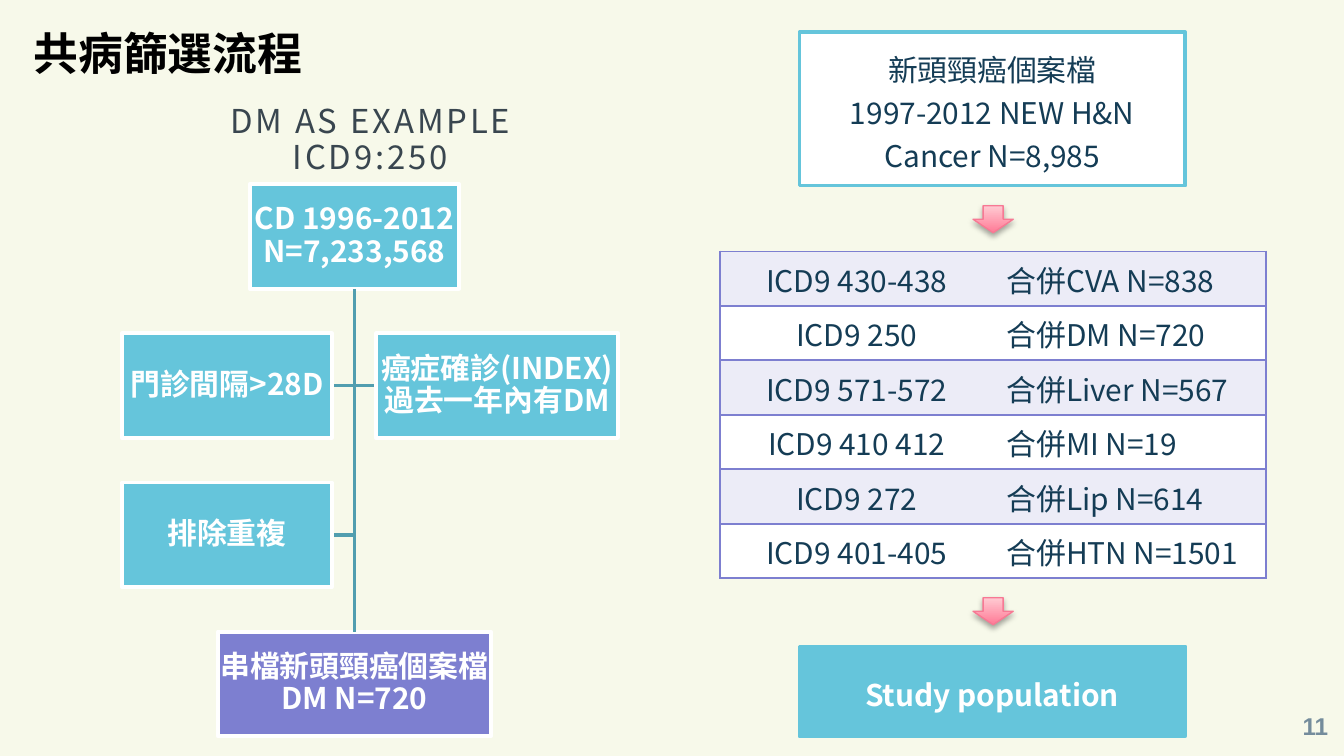
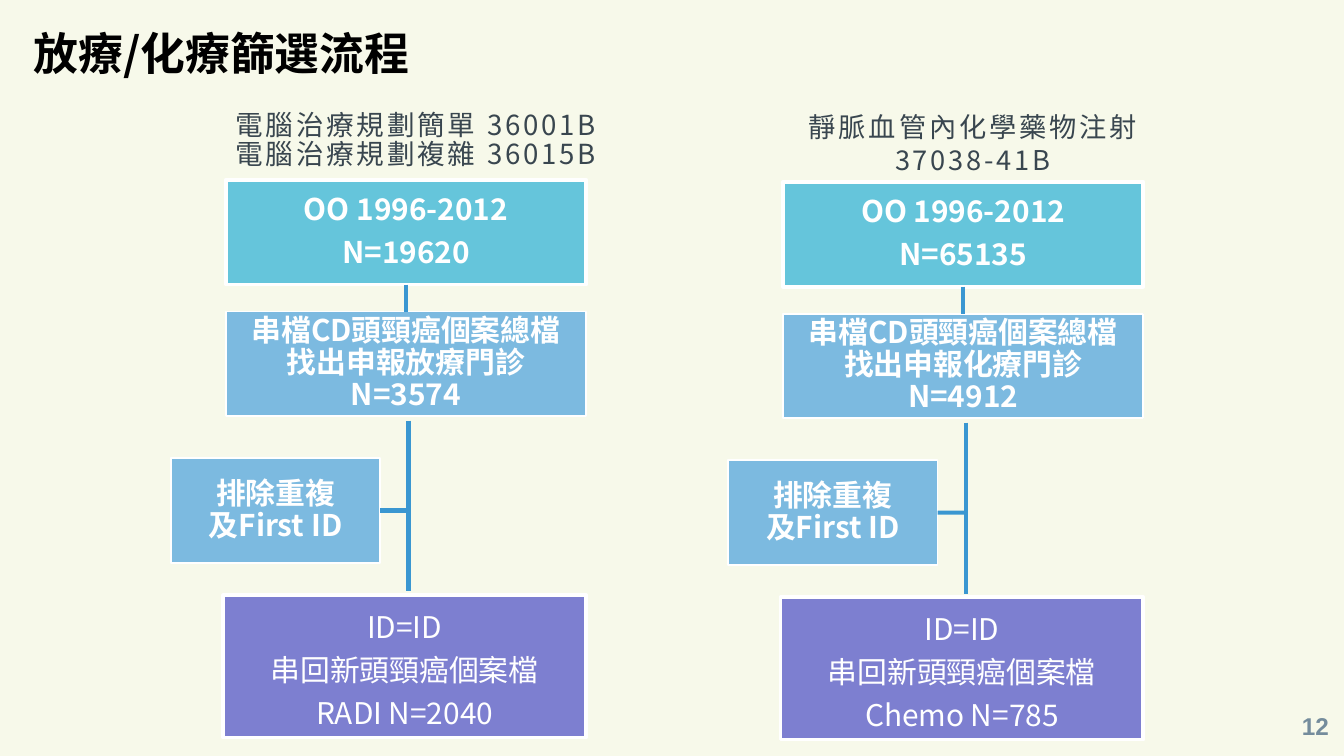
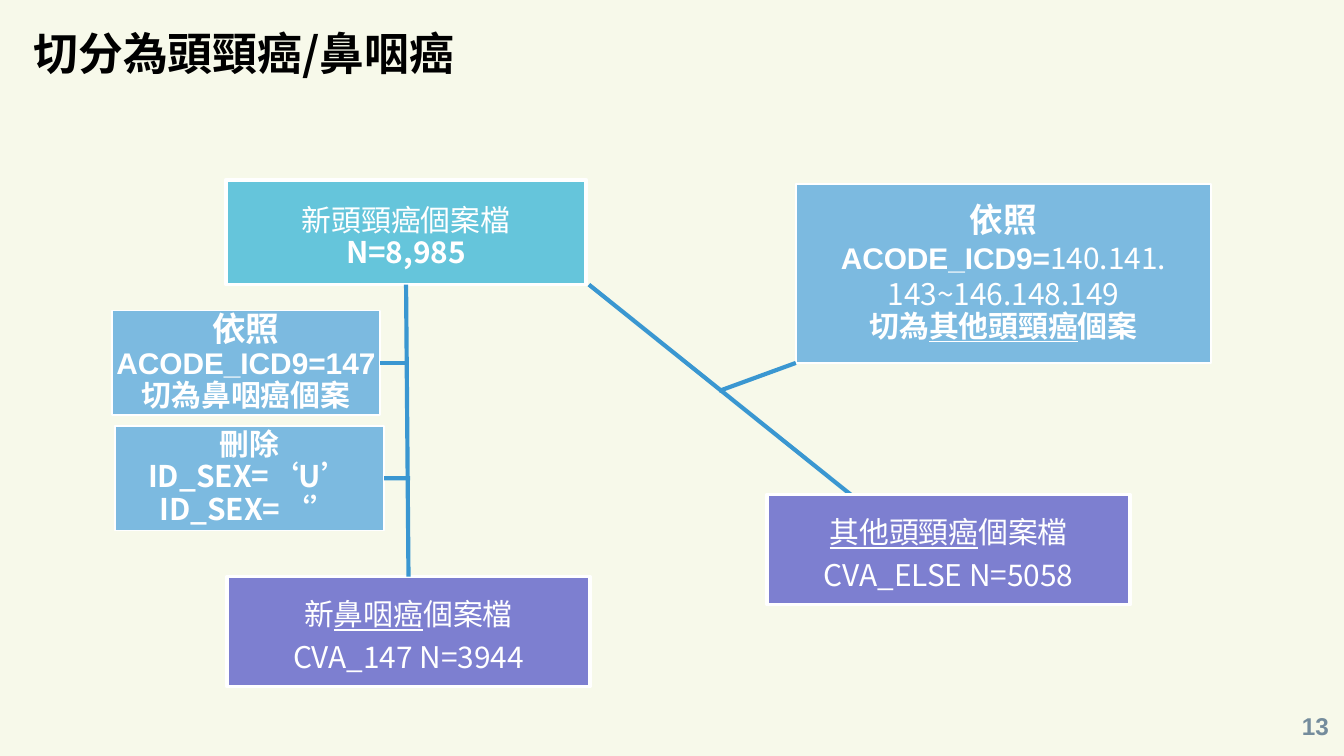
"""Build three slides on how comorbidity, treatment and cancer cases were screened."""
from dataclasses import dataclass

from lxml import etree
from pptx import Presentation
from pptx import util as u
from pptx.dml.color import RGBColor
from pptx.enum import shapes, text
from pptx.oxml import ns

CREAM = RGBColor(0xF7, 0xF9, 0xEA)
WHITE = RGBColor(0xFF, 0xFF, 0xFF)
BLACK = RGBColor(0x00, 0x00, 0x00)
TEAL = RGBColor(0x65, 0xC5, 0xDB)
DARK_TEAL = RGBColor(0x51, 0x9E, 0xAF)
VIOLET = RGBColor(0x7D, 0x7F, 0xD0)
LILAC = RGBColor(0xEC, 0xEC, 0xF7)
SKY = RGBColor(0x7C, 0xBA, 0xE0)
BLUE = RGBColor(0x3A, 0x97, 0xD1)
NAVY = RGBColor(0x14, 0x3C, 0x55)
SLATE = RGBColor(0x39, 0x46, 0x4F)
GREY = RGBColor(0x74, 0x8C, 0x9C)
PINK = RGBColor(0xFF, 0x7A, 0x96)
PALE_PINK = RGBColor(0xFF, 0xCA, 0xD2)
PINK_EDGE = RGBColor(0xF7, 0x79, 0x94)

NOTO = "Noto Sans CJK SC"
ARIAL = "Arial"
CENTER = text.PP_ALIGN.CENTER
LEFT = text.PP_ALIGN.LEFT
STEP_HEIGHT = 1.98
TOP, BOTTOM, RIGHT = 0, 2, 3


@dataclass(frozen=True)
class Span:
    """A stretch of evenly formatted text."""
    words: str
    size: float = 16
    bold: bool = True
    underline: bool = False
    face: str = NOTO


@dataclass(frozen=True)
class Line:
    """A paragraph with its line spacing and the space after it in points."""
    spans: tuple
    spacing: float = 0.9
    after: float = 0


@dataclass(frozen=True)
class Area:
    """A place on the slide in centimetres."""
    left: float
    top: float
    width: float
    height: float = STEP_HEIGHT

    def lengths(self) -> tuple:
        """Return the four lengths as python-pptx expects them."""
        return tuple(u.Cm(n) for n in (self.left, self.top, self.width, self.height))

    def shifted(self, dx: float, dy: float) -> "Area":
        """Return the same area moved by an offset."""
        return Area(self.left + dx, self.top + dy, self.width, self.height)


@dataclass(frozen=True)
class Step:
    """A box of a flow chart."""
    area: Area
    fill: RGBColor
    lines: tuple
    edge: RGBColor = WHITE
    edge_width: float = 2
    ink: RGBColor = WHITE
    inset: float = 0.03


@dataclass(frozen=True)
class Treatment:
    """The wording and offset of one treatment flow."""
    dx: float
    dy: float
    codes: tuple
    code_size: float
    code_spacing: float
    orders: str
    visits: str
    visit_count: str
    result: str


def lines(*words: str, spacing: float = 0.9, after: float = 0, **look) -> tuple:
    """Make one evenly formatted line from each string."""
    return tuple(Line((Span(w, **look),), spacing, after) for w in words)


def set_font(font, span: Span, ink: RGBColor, tracking: float) -> None:
    """Apply a span's look to a run's or a paragraph's font."""
    font.name = span.face
    font.size = u.Pt(span.size)
    font.bold = span.bold
    font.underline = span.underline
    font.color.rgb = ink
    etree.SubElement(font._rPr, ns.qn("a:ea"), typeface=NOTO)
    if tracking:
        font._rPr.set("spc", str(int(tracking * 100)))


def write(frame, content: tuple, ink: RGBColor, align=CENTER, tracking: float = 0) -> None:
    """Fill a text frame with lines."""
    for index, line in enumerate(content):
        paragraph = frame.add_paragraph() if index else frame.paragraphs[0]
        paragraph.alignment = align
        paragraph.line_spacing = line.spacing
        paragraph.space_after = u.Pt(line.after)
        if len(line.spans) == 1:
            set_font(paragraph.font, line.spans[0], ink, tracking)
        for span in line.spans:
            run = paragraph.add_run()
            run.text = span.words
            if len(line.spans) > 1:
                set_font(run.font, span, ink, tracking)


def set_insets(frame, inset: float) -> None:
    """Give all four sides of a frame the same inset."""
    frame.margin_left = frame.margin_right = u.Cm(inset)
    frame.margin_top = frame.margin_bottom = u.Cm(inset)


def add_label(slide, area: Area, content: tuple, ink: RGBColor,
              tracking: float = 0, inset: float = 0.13) -> None:
    """Add centred free-standing text."""
    frame = slide.shapes.add_textbox(*area.lengths()).text_frame
    frame.word_wrap = True
    frame.vertical_anchor = text.MSO_ANCHOR.MIDDLE
    set_insets(frame, inset)
    write(frame, content, ink, tracking=tracking)


def add_step(slide, step: Step):
    """Add a flow chart box and return it."""
    box = slide.shapes.add_shape(shapes.MSO_SHAPE.RECTANGLE, *step.area.lengths())
    box.shadow.inherit = False
    box.fill.solid()
    box.fill.fore_color.rgb = step.fill
    box.line.color.rgb = step.edge
    box.line.width = u.Pt(step.edge_width)
    frame = box.text_frame
    frame.word_wrap = True
    frame.vertical_anchor = text.MSO_ANCHOR.MIDDLE
    set_insets(frame, step.inset)
    write(frame, step.lines, step.ink)
    return box


def add_link(slide, start: tuple, end: tuple, color: RGBColor = BLUE, width: float = 2.25):
    """Add a straight line; an end is a point in centimetres or a (box, side) pair."""
    points = [(0, 0) if hasattr(e[0], "shape_id") else e for e in (start, end)]
    link = slide.shapes.add_connector(
        shapes.MSO_CONNECTOR.STRAIGHT, *(u.Cm(n) for point in points for n in point))
    for spot, join in ((start, link.begin_connect), (end, link.end_connect)):
        if hasattr(spot[0], "shape_id"):
            join(*spot)
    link.line.color.rgb = color
    link.line.width = u.Pt(width)
    etree.SubElement(link._element.spPr, ns.qn("a:effectLst"))


def add_bend(slide, trunk_x: float, top: float, side_x: float, side_y: float) -> None:
    """Add a line that goes down the trunk and turns to a side step."""
    builder = slide.shapes.build_freeform(u.Cm(trunk_x), u.Cm(top))
    builder.add_line_segments(
        [(u.Cm(trunk_x), u.Cm(side_y)), (u.Cm(side_x), u.Cm(side_y))], close=False)
    bend = builder.convert_to_shape()
    bend.shadow.inherit = False
    bend.fill.background()
    bend.line.color.rgb = DARK_TEAL
    bend.line.width = u.Pt(2)


def add_down_arrow(slide, top: float) -> None:
    """Add a pink arrow between two stages of the cohort."""
    arrow = slide.shapes.add_shape(
        shapes.MSO_SHAPE.DOWN_ARROW, *Area(18.39, top, 0.76, 0.51).lengths())
    arrow.shadow.inherit = False
    arrow.fill.gradient()
    arrow.fill.gradient_angle = 90
    for stop, color, position in zip(arrow.fill.gradient_stops, (PINK, PALE_PINK), (0, 1)):
        stop.color.rgb = color
        stop.position = position
    arrow.line.color.rgb = PINK_EDGE
    arrow.line.width = u.Pt(0.75)
    effects = arrow._element.spPr.find(ns.qn("a:effectLst"))
    shade = etree.SubElement(effects, ns.qn("a:outerShdw"), blurRad=str(u.Pt(3.1)),
                             dist=str(u.Pt(1.8)), dir="5400000", rotWithShape="0")
    black = etree.SubElement(shade, ns.qn("a:srgbClr"), val=str(BLACK))
    etree.SubElement(black, ns.qn("a:alpha"), val="35000")


def set_borders(cell, visible: str) -> None:
    """Draw the given sides of a cell in violet and clear the others."""
    properties = cell._tc.get_or_add_tcPr()
    for side in "LRTB":
        border = etree.SubElement(properties, ns.qn(f"a:ln{side}"), w=str(u.Pt(1)))
        if side in visible:
            fill = etree.SubElement(border, ns.qn("a:solidFill"))
            etree.SubElement(fill, ns.qn("a:srgbClr"), val=str(VIOLET))
        else:
            etree.SubElement(border, ns.qn("a:noFill"))


def add_comorbidities(slide, rows: tuple) -> None:
    """Add the table of diagnosis codes and case counts."""
    row_height = 1.03
    area = Area(13.61, 4.75, 10.32, row_height * len(rows))
    table = slide.shapes.add_table(len(rows), 2, *area.lengths()).table
    table.first_row = table.horz_banding = False
    for r, row in enumerate(rows):
        table.rows[r].height = u.Cm(row_height)
        for c, (words, align, sides) in enumerate(zip(row, (CENTER, LEFT), ("LTB", "RTB"))):
            cell = table.cell(r, c)
            set_borders(cell, sides)
            cell.fill.solid()
            cell.fill.fore_color.rgb = WHITE if r % 2 else LILAC
            cell.vertical_anchor = text.MSO_ANCHOR.MIDDLE
            write(cell.text_frame, lines(words, spacing=1.0, bold=False), NAVY, align)


def add_page(prs, title: str, title_width: float, number: int):
    """Add a slide with its title and page number."""
    slide = prs.slides.add_slide(prs.slide_layouts[5])
    heading = slide.shapes.title
    heading.left, heading.top, heading.width, heading.height = Area(
        0.38, 0.36, title_width, 1.27).lengths()
    frame = heading.text_frame
    frame.word_wrap = True
    frame.auto_size = text.MSO_AUTO_SIZE.NONE
    frame.vertical_anchor = text.MSO_ANCHOR.TOP
    write(frame, lines(title, spacing=1.0, size=24), BLACK, LEFT)
    add_label(slide, Area(24.1, 13.18, 1.52, 1.09),
              lines(str(number), spacing=1.0, size=13, face=ARIAL), GREY, inset=0)
    return slide


def build_comorbidity(prs) -> None:
    """Build the comorbidity screening slide."""
    slide = add_page(prs, "共病篩選流程", 5.64, 11)
    add_label(slide, Area(3.15, 1.85, 7.7, 1.63),
              lines("DM AS EXAMPLE", "ICD9:250", size=17.6, bold=False), SLATE, 1.5)

    trunk_x, trunk_top = 6.7, 5.46
    for side_x, side_y in ((6.27, 10.11), (7.11, 7.29), (6.27, 7.29)):
        add_bend(slide, trunk_x, trunk_top, side_x, side_y)
    claims = add_step(slide, Step(Area(4.72, 3.48, 3.96), TEAL,
                                  lines("CD 1996-2012 N=7,233,568")))
    diabetes = add_step(slide, Step(Area(4.12, 11.94, 5.16), VIOLET,
                                    lines("串檔新頭頸癌個案檔", "DM N=720")))
    add_link(slide, (claims, BOTTOM), (diabetes, TOP), DARK_TEAL, 2)
    for area, words in (
        (Area(2.31, 6.3, 3.96), "門診間隔>28D"),
        (Area(7.11, 6.3, 4.57), "癌症確診(INDEX)過去一年內有DM"),
        (Area(2.31, 9.12, 3.96), "排除重複"),
    ):
        add_step(slide, Step(area, TEAL, lines(words)))

    add_step(slide, Step(Area(15.11, 0.61, 7.29, 2.9), WHITE,
                         lines("新頭頸癌個案檔", "1997-2012 NEW H&N Cancer N=8,985",
                               spacing=1.2, bold=False),
                         edge=TEAL, ink=NAVY, inset=0.25))
    for top in (3.89, 11.3):
        add_down_arrow(slide, top)
    add_step(slide, Step(Area(15.11, 12.22, 7.29, 1.7), TEAL,
                         lines("Study population", spacing=1.2), edge=TEAL, inset=0.13))
    add_comorbidities(slide, (
        ("ICD9 430-438", "合併CVA N=838"),
        ("ICD9 250", "合併DM N=720"),
        ("ICD9 571-572", "合併Liver N=567"),
        ("ICD9 410 412", "合併MI N=19"),
        ("ICD9 272", "合併Lip N=614"),
        ("ICD9 401-405", "合併HTN N=1501"),
    ))


def add_treatment(slide, flow: Treatment) -> None:
    """Add one treatment flow from orders to linked cases."""
    def place(*numbers: float) -> Area:
        return Area(*numbers).shifted(flow.dx, flow.dy)

    def point(x: float, y: float) -> tuple:
        return x + flow.dx, y + flow.dy

    add_label(slide, place(4.01, 1.85, 7.7, 1.63),
              lines(*flow.codes, spacing=flow.code_spacing, size=flow.code_size, bold=False),
              SLATE, 1.5)
    orders = add_step(slide, Step(place(4.27, 3.4, 6.81), TEAL,
                                  lines("OO 1996-2012", flow.orders, after=5.6)))
    visits = add_step(slide, Step(place(4.27, 5.89, 6.81), SKY,
                                  lines("串檔CD頭頸癌個案總檔", flow.visits, flow.visit_count),
                                  edge_width=1))
    add_link(slide, (orders, BOTTOM), (visits, TOP))
    exclusion = add_step(slide, Step(place(3.23, 8.66, 3.96), SKY,
                                     lines("排除重複", "及First ID"), edge_width=1))
    add_link(slide, point(7.72, 7.95), point(7.72, 11.18))
    add_link(slide, (exclusion, RIGHT), point(7.72, 9.65))
    add_step(slide, Step(place(4.22, 11.25, 6.86, 2.69), VIOLET,
                         lines("ID=ID", "串回新頭頸癌個案檔", flow.result,
                               spacing=1.2, bold=False)))


def build_treatment(prs) -> None:
    """Build the radiotherapy and chemotherapy slide."""
    slide = add_page(prs, "放療/化療篩選流程", 7.72, 12)
    for flow in (
        Treatment(0, 0, ("電腦治療規劃簡單 36001B", "電腦治療規劃複雜 36015B"), 14.8, 0.9,
                  "N=19620", "找出申報放療門診", "N=3574", "RADI N=2040"),
        Treatment(10.53, 0.04, ("靜脈血管內化學藥物注射", "37038-41B"), 14.6, 1.0,
                  "N=65135", "找出申報化療門診", "N=4912", "Chemo N=785"),
    ):
        add_treatment(slide, flow)


def build_split(prs) -> None:
    """Build the slide that splits the cases by cancer site."""
    slide = add_page(prs, "切分為頭頸癌/鼻咽癌", 8.59, 13)
    cases = add_step(slide, Step(Area(4.27, 3.4, 6.81), TEAL, (
        *lines("新頭頸癌個案檔", spacing=1.2, bold=False), *lines("N=8,985"))))
    by_code = lines("依照", size=18)
    nasal_rule = add_step(slide, Step(Area(2.11, 5.87, 5.08), SKY, (
        *by_code, *lines("ACODE_ICD9=147", face=ARIAL), *lines("切為鼻咽癌個案")),
        edge_width=1))
    sex_rule = add_step(slide, Step(Area(2.18, 8.05, 5.08), SKY,
                                    lines("刪除", "ID_SEX=‘U’", "ID_SEX=‘’"), edge_width=1))
    nasal = add_step(slide, Step(Area(4.29, 10.9, 6.86, 2.08), VIOLET, (
        Line((Span("新", bold=False), Span("鼻咽癌", bold=False, underline=True),
              Span("個案檔", bold=False)), 1.2),
        *lines("CVA_147 N=3944", spacing=1.2, bold=False))))
    add_link(slide, (cases, BOTTOM), (nasal, TOP))
    add_link(slide, (nasal_rule, RIGHT), (7.72, 6.86))
    add_link(slide, (sex_rule, RIGHT), (7.75, 9.04))

    add_link(slide, (11.13, 5.38), (16.08, 9.35))
    add_step(slide, Step(Area(14.5, 9.35, 6.86, 2.08), VIOLET, (
        Line((Span("其他頭頸癌", bold=False, underline=True),
              Span("個案檔", bold=False)), 1.2),
        *lines("CVA_ELSE N=5058", spacing=1.2, bold=False))))
    add_step(slide, Step(Area(15.04, 3.48, 7.85, 3.38), SKY, (
        *by_code,
        Line((Span("ACODE_ICD9=", face=ARIAL), Span("140.141.", bold=False)), 1.0),
        *lines("143~146.148.149", spacing=1.0, bold=False),
        Line((Span("切為"), Span("其他頭頸癌", underline=True), Span("個案")))),
        edge_width=1))
    add_link(slide, (13.59, 7.39), (15.04, 6.86))


def main() -> None:
    """Build and save the presentation."""
    prs = Presentation()
    prs.slide_width, prs.slide_height = u.Cm(25.4), u.Cm(14.29)
    backdrop = prs.slide_master.background.fill
    backdrop.solid()
    backdrop.fore_color.rgb = CREAM
    build_comorbidity(prs)
    build_treatment(prs)
    build_split(prs)
    prs.save("out.pptx")


if __name__ == "__main__":
    main()
